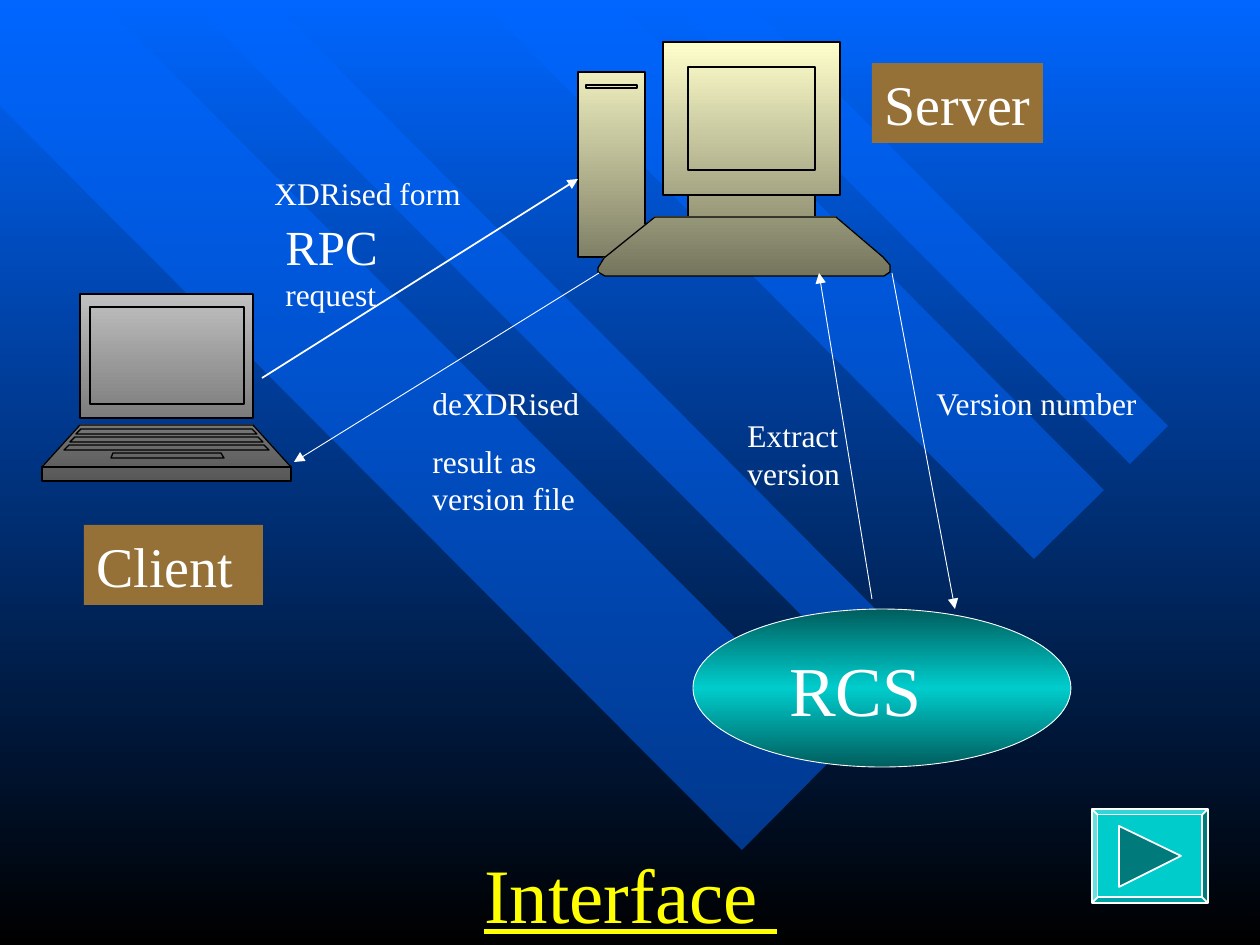
from copy import deepcopy
from pptx import Presentation
from pptx.dml.color import RGBColor
from pptx.enum.shapes import MSO_CONNECTOR as Connector, MSO_SHAPE as Shape
from pptx.oxml.ns import qn
from pptx.oxml.xmlchemy import OxmlElement
from pptx.util import Pt

PX = 914400 / 126
FONT = "Times New Roman"
WHITE, BLACK, BLUE, BROWN, TEAL = "FFFFFF", "000000", "0066FF", "957137", "00CCCC"


def emu(*lengths):
    return [round(length * PX) for length in lengths]


def paint(color_format, color):
    color_format.rgb = RGBColor.from_string(color)


def gradient(fill, element, colors):
    """Fill from top to bottom with evenly spaced colours."""
    fill.gradient()
    fill.gradient_angle = 270
    stop_list = element.find(".//" + qn("a:gsLst"))
    for _ in colors[2:]:
        stop_list.append(deepcopy(stop_list[-1]))
    for index, (stop, color) in enumerate(zip(fill.gradient_stops, colors)):
        stop.position = index / (len(colors) - 1)
        paint(stop.color, color)


def style(shape, colors, line=None, width=0.75):
    """Fill with one colour or a gradient; outline only if a line colour is given."""
    shape.shadow.inherit = False
    if len(colors) > 1:
        gradient(shape.fill, shape._element, colors)
    else:
        shape.fill.solid()
        paint(shape.fill.fore_color, colors[0])
    if line:
        paint(shape.line.color, line)
        shape.line.width = Pt(width)
    else:
        shape.line.fill.background()


def outline(slide, left, top, contours):
    """Draw closed contours, each filled on its own, as one shape."""
    builder = slide.shapes.build_freeform(*contours[0][0], scale=PX)
    for index, contour in enumerate(contours):
        if index:
            builder.move_to(*contour[0])
        builder.add_line_segments(contour[1:], close=True)
    shape = builder.convert_to_shape(*emu(left, top))
    path_list = shape._element.find(".//" + qn("a:pathLst"))
    whole = path_list[0]
    for step in list(whole):
        if step.tag == qn("a:moveTo"):
            part = OxmlElement("a:path")
            for name in ("w", "h"):
                part.set(name, whole.get(name))
            path_list.append(part)
        part.append(step)
    path_list.remove(whole)
    return shape


def trapezoid(top, bottom, top_left, top_right, bottom_left, bottom_right):
    return [(top_left, top), (top_right, top), (bottom_right, bottom), (bottom_left, bottom)]


def rectangle(left, top, right, bottom):
    return trapezoid(top, bottom, left, right, left, right)


def write(shape, paragraphs, color=WHITE, underline=False):
    """Set paragraphs, each a list of (text, size) runs."""
    frame = shape.text_frame
    frame.word_wrap = True
    for index, runs in enumerate(paragraphs):
        paragraph = frame.paragraphs[0] if index == 0 else frame.add_paragraph()
        if index:
            paragraph.space_before = Pt(11.2)
        for text, size in runs:
            run = paragraph.add_run()
            run.text = text
            for name, value in {"name": FONT, "size": Pt(size), "underline": underline}.items():
                setattr(run.font, name, value)
            paint(run.font.color, color)


def text_box(slide, box, paragraphs, **options):
    shape = slide.shapes.add_textbox(*emu(*box))
    write(shape, paragraphs, **options)
    return shape


def label(slide, box, text):
    shape = text_box(slide, box, [[(text, 32)]])
    shape.text_frame.margin_right = 0
    style(shape, [BROWN])


def arrow(slide, start, end, width=0.5):
    line = slide.shapes.add_connector(Connector.STRAIGHT, *emu(*start, *end))
    paint(line.line.color, WHITE)
    line.line.width = Pt(width)
    head = OxmlElement("a:tailEnd")
    head.set("type", "triangle")
    line.line._get_or_add_ln().append(head)
    line._element.spPr.append(OxmlElement("a:effectLst"))


def background(slide):
    gradient(slide.background.fill, slide._element, [BLUE, BLACK])
    bands = [
        [(844, 747), (100, 0), (0, 0), (0, 106), (742, 850)],
        [(270, 0), (930, 664), (890, 704), (188, 0)],
        [(616, 0), (1104, 490), (1034, 559), (479, 0)],
        [(668, 0), (1130, 464), (1168, 426), (745, 0)],
    ]
    for band in bands:
        shape = outline(slide, 0, 0, [band])
        style(shape, [BLUE])
        alpha = OxmlElement("a:alpha")
        alpha.set("val", "50000")
        shape._element.spPr.find(".//" + qn("a:srgbClr")).append(alpha)


def server(slide, left, top):
    base = [(77, 175), (258, 175), (305, 215), (312, 223), (312, 230), (306, 234),
            (27, 234), (20, 230), (20, 226), (26, 216)]
    contours = [rectangle(0, 30, 67, 215), rectangle(110, 153, 237, 175),
                rectangle(85, 0, 262, 153), base,
                rectangle(110, 25, 237, 128), rectangle(8, 43, 59, 46)]
    style(outline(slide, left, top, contours), ["FFFFCC", "75755E"], BLACK)


def laptop(slide, left, top):
    key_rows = [trapezoid(y, y + 5, x, 249 - x, x - 5, 254 - x)
                for y, x in ((135, 39), (143, 33), (151, 27))]
    contours = [rectangle(38, 0, 211, 124), trapezoid(131, 173, 38, 211, 0, 249),
                rectangle(0, 173, 249, 187), rectangle(48, 13, 202, 110),
                *key_rows, trapezoid(159, 164, 71, 179, 69, 182)]
    style(outline(slide, left, top, contours), ["C0C0C0", "585858"], BLACK)


def version_store(slide, left, top, width, height):
    ellipse = slide.shapes.add_shape(Shape.OVAL, *emu(left, top, width, height))
    style(ellipse, ["005E5E", TEAL, "005E5E"], WHITE, 0.5)
    text_box(slide, (left + 84, top + 31, 242, 97), [[("RCS", 40)]])


def next_button(slide, left, top, width, height):
    button = slide.shapes.add_shape(Shape.BEVEL, *emu(left, top, width, height))
    button.adjustments[0] = 0.06
    style(button, [TEAL], WHITE, 1)
    triangle = outline(slide, left, top, [[(27, 17), (89, 47), (27, 78)]])
    style(triangle, ["007A7A"], WHITE, 1)


def main():
    presentation = Presentation()
    presentation.slide_width, presentation.slide_height = emu(1260, 945)
    slide = presentation.slides.add_slide(presentation.slide_layouts[6])
    background(slide)
    server(slide, 578, 42)
    laptop(slide, 42, 294)
    label(slide, (84, 525, 179, 80), "Client")
    label(slide, (872, 63, 171, 80), "Server")
    arrow(slide, (262, 378), (578, 179), 1)
    version_store(slide, 693, 609, 378, 158)
    arrow(slide, (892, 273), (955, 609))
    arrow(slide, (872, 599), (819, 273))
    arrow(slide, (599, 273), (294, 462))
    notes = [
        ((262, 168, 221, 50), [[("XDRised form", 18)]]),
        ((273, 210, 199, 110), [[("RPC ", 28), ("request", 18)]]),
        ((924, 378, 262, 108), [[("Version number", 18)]]),
        ((735, 410, 189, 88), [[("Extract version", 18)]]),
        ((420, 378, 179, 146), [[("deXDRised", 18)], [("result as version file", 18)]]),
    ]
    for box, paragraphs in notes:
        text_box(slide, box, paragraphs)
    text_box(slide, (472, 840, 704, 105), [[("Interface ", 44)]], color="FFFF00", underline=True)
    next_button(slide, 1092, 809, 116, 94)
    presentation.save("out.pptx")


if __name__ == "__main__":
    main()
